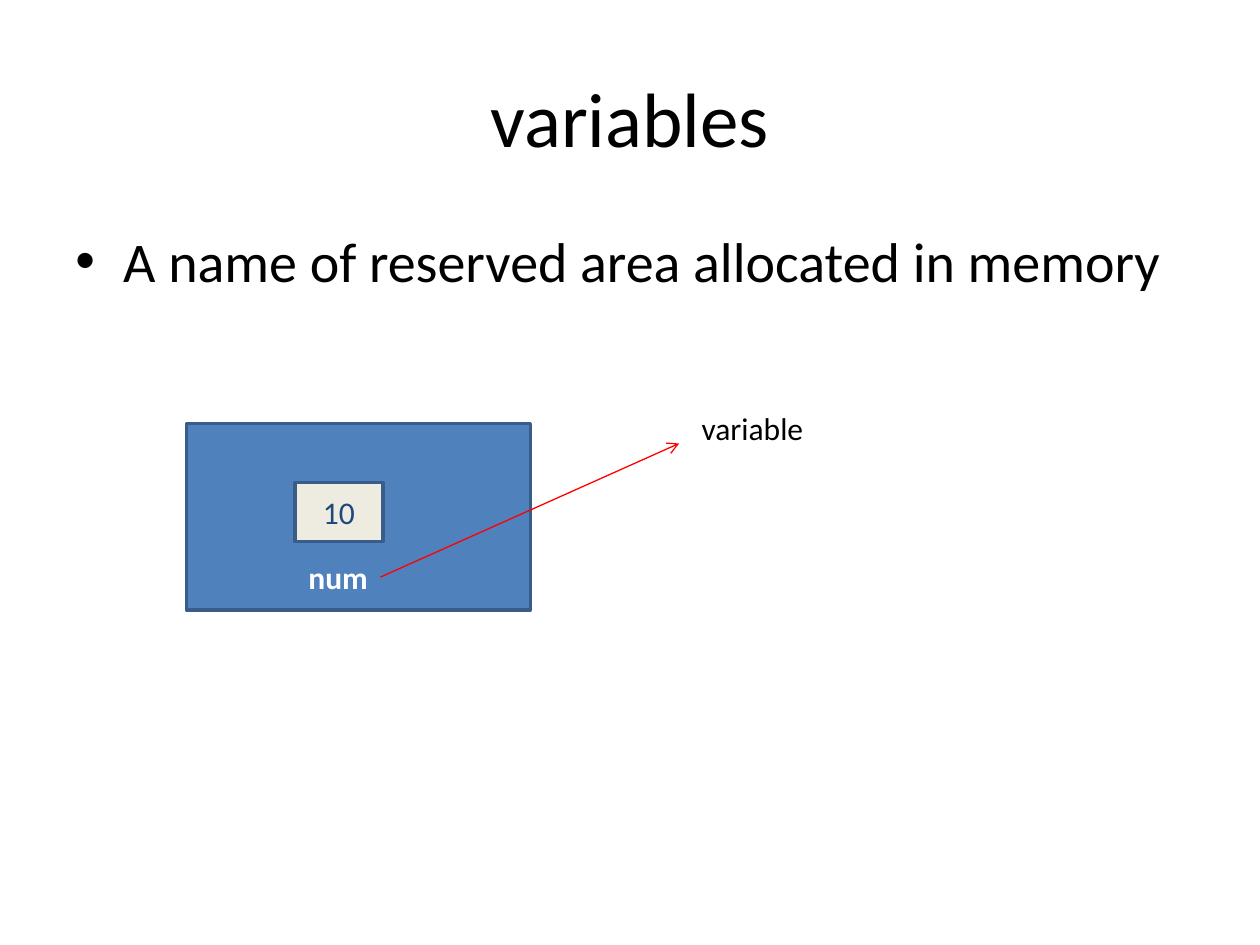
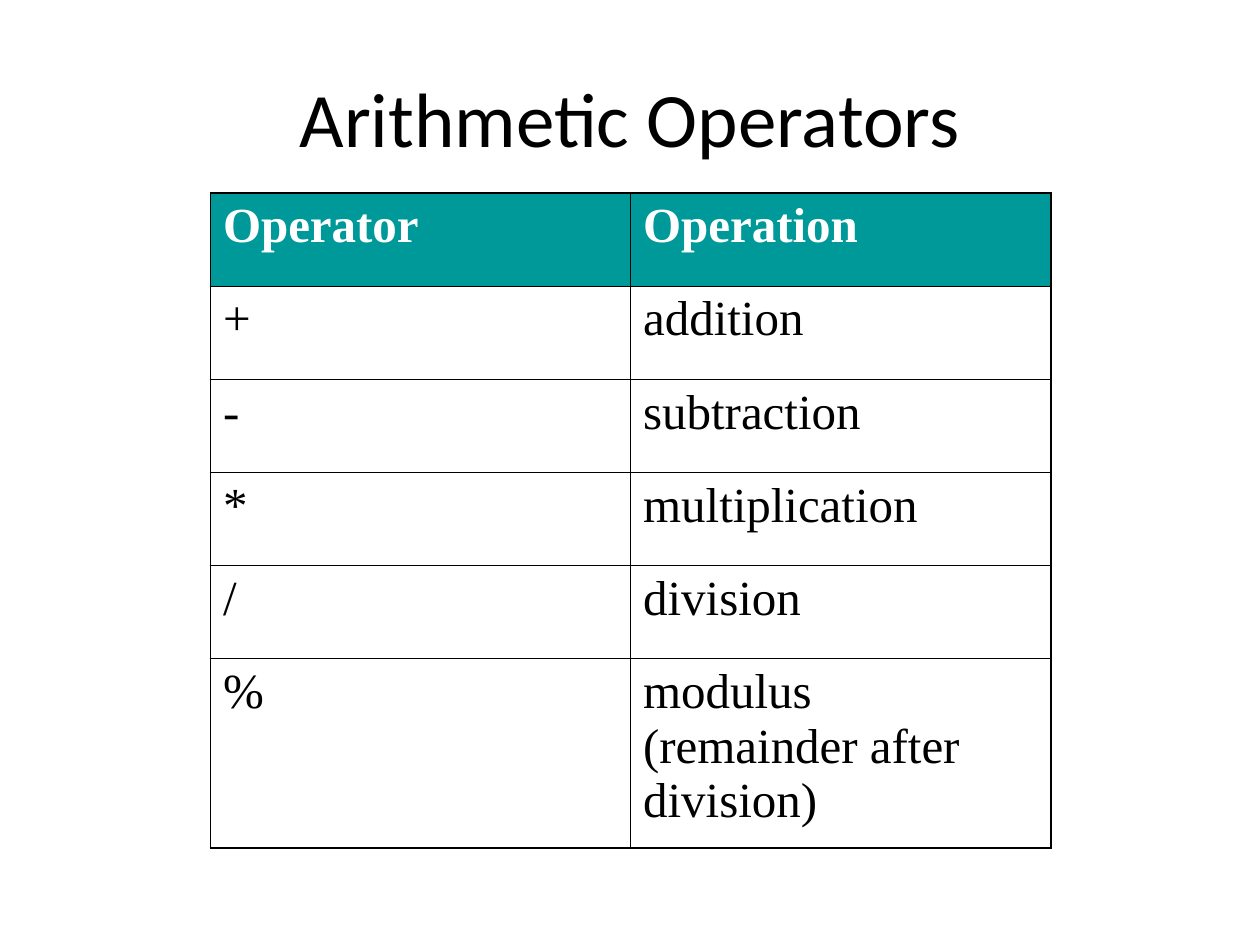
"""Build two slides on variables and arithmetic operators."""
import pptx
import pptx.util
import pptx.dml.color
import pptx.enum.shapes
import pptx.enum.text
import pptx.oxml
import pptx.oxml.ns
from lxml import etree

COLORS = {
    "text": "000000",
    "light": "FFFFFF",
    "memory": "4F81BD",
    "outline": "385D8A",
    "cell": "EEECE1",
    "value": "1F497D",
    "arrow": "FF0000",
    "header": "009999",
}
SANS, SERIF = "Calibri", "Times New Roman"
WIDTH, HEIGHT = pptx.util.Inches(10), pptx.util.Inches(7.5)
COLUMNS = 100
UNIT = WIDTH // COLUMNS
CENTER = pptx.enum.text.PP_ALIGN.CENTER
MIDDLE = pptx.enum.text.MSO_ANCHOR.MIDDLE
OPERATORS = [
    ("Operator", "Operation"),
    ("+", "addition"),
    ("-", "subtraction"),
    ("*", "multiplication"),
    ("/", "division"),
    ("%", "modulus (remainder after division)"),
]


def grid(*lengths):
    return [round(n * UNIT) for n in lengths]


def rgb(name):
    return pptx.dml.color.RGBColor.from_string(COLORS[name])


def sub(parent, tag, **attrs):
    return etree.SubElement(parent, pptx.oxml.ns.qn(tag), attrs)


def write(tf, text, size, color="text", font=SANS, bold=False, align=None):
    tf.text = text
    p = tf.paragraphs[0]
    p.alignment = align
    f = p.runs[0].font
    f.name, f.size, f.bold = font, pptx.util.Pt(size), bold
    f.color.rgb = rgb(color)
    return p


def add_text(s, place, text, size, wrap=True, anchor=None, **style):
    tf = s.shapes.add_textbox(*grid(*place)).text_frame
    tf.word_wrap = wrap
    tf.vertical_anchor = anchor
    return write(tf, text, size, **style)


def add_slide(prs, title):
    s = prs.slides.add_slide(prs.slide_layouts[6])
    add_text(s, (5, 3, 90, 12.5), title, 44, anchor=MIDDLE, align=CENTER)
    return s


def add_bullet(s, place, text):
    p = add_text(s, place, text, 32)
    p.space_before = pptx.util.Pt(8)
    pPr = p._p.get_or_add_pPr()
    indent = pptx.util.Inches(0.38)
    pPr.set("marL", str(indent))
    pPr.set("indent", str(-indent))
    sub(pPr, "a:buFont", typeface="Arial")
    sub(pPr, "a:buChar", char="•")


def add_box(s, place, fill):
    sp = s.shapes.add_shape(pptx.enum.shapes.MSO_SHAPE.RECTANGLE, *grid(*place))
    sp.shadow.inherit = False
    sp.fill.solid()
    sp.fill.fore_color.rgb = rgb(fill)
    sp.line.color.rgb = rgb("outline")
    sp.line.width = pptx.util.Pt(2)
    return sp


def add_arrow(s, start, end):
    kind = pptx.enum.shapes.MSO_CONNECTOR.STRAIGHT
    c = s.shapes.add_connector(kind, *grid(*start, *end))
    c.line.color.rgb = rgb("arrow")
    c.line.width = pptx.util.Pt(0.75)
    spPr = c._element.spPr
    sub(spPr.find(pptx.oxml.ns.qn("a:ln")), "a:tailEnd", type="arrow")
    sub(spPr, "a:effectLst")


def add_border(cell, side, width):
    ln = sub(cell._tc.get_or_add_tcPr(), f"a:ln{side}", w=str(pptx.util.Pt(width)))
    sub(sub(ln, "a:solidFill"), "a:srgbClr", val=COLORS["text"])


def add_table(s, place, rows, heights):
    last_row, last_col = len(rows) - 1, len(rows[0]) - 1
    shape = s.shapes.add_table(last_row + 1, last_col + 1, *grid(*place))
    table = shape.table
    table.first_row = table.horz_banding = False
    for i, row in enumerate(rows):
        table.rows[i].height = grid(heights[i])[0]
        for j, text in enumerate(row):
            cell = table.cell(i, j)
            header = i == 0
            p = write(cell.text_frame, text, 28, font=SERIF, bold=header,
                      color="light" if header else "text")
            p.space_before = pptx.util.Pt(7)
            outer = {"L": j == 0, "R": j == last_col, "T": header, "B": i == last_row}
            for side, edge in outer.items():
                add_border(cell, side, 1.08 if edge else 0.45)
            if header:
                cell.fill.solid()
                cell.fill.fore_color.rgb = rgb("header")
            else:
                cell.fill.background()


def variables_slide(prs):
    s = add_slide(prs, "variables")
    add_bullet(s, (5, 17.5, 90, 49.5), "A name of reserved area allocated in memory")
    add_box(s, (14.8, 33.6, 27.3, 14.8), "memory")
    value = add_box(s, (23.4, 38.3, 7, 4.7), "cell")
    value.text_frame.vertical_anchor = MIDDLE
    write(value.text_frame, "10", 18, color="value", align=CENTER)
    add_text(s, (23.5, 43.8, 6.7, 4), "num", 18, wrap=False, color="light", bold=True)
    add_arrow(s, (30.2, 45.8), (53.9, 35.2))
    add_text(s, (54.7, 32, 10.1, 4), "variable", 18, wrap=False)


def operators_slide(prs):
    s = add_slide(prs, "Arithmetic Operators")
    add_table(s, (16.7, 15.3, 66.7, 52), OPERATORS, [7.4] * 5 + [15])


def main():
    prs = pptx.Presentation()
    prs.slide_width, prs.slide_height = WIDTH, HEIGHT
    variables_slide(prs)
    operators_slide(prs)
    prs.save("out.pptx")


if __name__ == "__main__":
    main()
